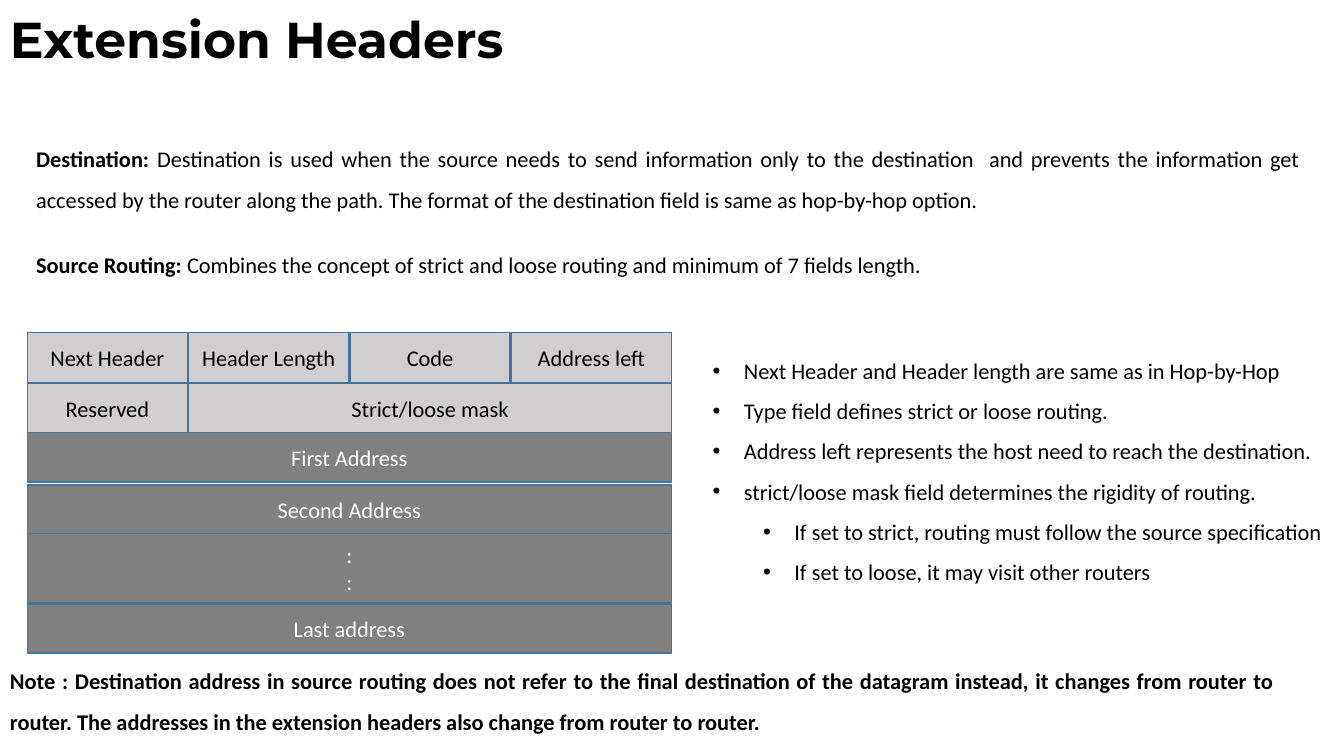
from lxml import etree
from pptx import Presentation
from pptx.dml.color import RGBColor
from pptx.enum import shapes, text
from pptx.oxml import ns
from pptx.util import Inches, Pt

COLORS = {"ink": "000000", "paper": "FFFFFF", "light": "D0CECE",
          "dark": "808080", "edge": "43739E"}
TITLE = [[("Extension Headers", True)]]
INTRO = [
    [("Destination: ", True),
     ("Destination is used when the source needs to send information only to "
      "the destination  and prevents the information get accessed by the router "
      "along the path. The format of the destination field is same as "
      "hop-by-hop option.", False)],
    [("Source Routing: ", True),
     ("Combines the concept of strict and loose routing and minimum of 7 "
      "fields length.", False)],
]
POINTS = [
    (0, "Next Header and Header length are same as in Hop-by-Hop"),
    (0, "Type field defines strict or loose routing."),
    (0, "Address left represents the host need to reach the destination."),
    (0, "strict/loose mask ﬁeld determines the rigidity of routing."),
    (1, "If set to strict, routing must follow the source specification"),
    (1, "If set to loose, it may visit other routers"),
]
NOTE = [[("Note : Destination address in source routing does not refer to the "
          "ﬁnal destination of the datagram instead, it changes from router to "
          "router. The addresses in the extension headers also change from "
          "router to router.", True)]]
ROWS = [
    (3.3, 0.5, "light", [("Next Header", 1), ("Header Length", 1),
                         ("Code", 1), ("Address left", 1)]),
    (3.8, 0.5, "light", [("Reserved", 1), ("Strict/loose mask", 3)]),
    (4.29, 0.49, "dark", [("First Address", 4)]),
    (4.81, 0.49, "dark", [("Second Address", 4)]),
    (5.29, 0.69, "dark", [(":\n:", 4)]),
    (5.99, 0.49, "dark", [("Last address", 4)]),
]
LEFT, UNIT = 0.27, 1.6


def tint(name):
    return RGBColor.from_string(COLORS[name])


def style(para, size=16, face="Calibri", color="ink"):
    font = para.font
    font.size, font.name = Pt(size), face
    font.color.rgb = tint(color)


def bullet(para, level):
    para.level = level
    props = para._p.get_or_add_pPr()
    props.set("marL", str(Inches(0.31 + 0.5 * level)))
    props.set("indent", str(Inches(-0.31)))
    etree.SubElement(props, ns.qn("a:buFont"), typeface="Arial")
    etree.SubElement(props, ns.qn("a:buChar"), char="•")


def add_text(slide, box, paras, levels=(), gap=0, lead=1.5,
             align=text.PP_ALIGN.JUSTIFY, anchor=text.MSO_ANCHOR.TOP, **look):
    frame = slide.shapes.add_textbox(*map(Inches, box)).text_frame
    frame.word_wrap, frame.vertical_anchor = True, anchor
    for i, runs in enumerate(paras):
        para = frame.add_paragraph() if i else frame.paragraphs[0]
        if levels:
            bullet(para, levels[i])
        para.alignment, para.line_spacing = align, lead
        if i and gap:
            para.space_before = Pt(gap)
        style(para, **look)
        for words, bold in runs:
            run = para.add_run()
            run.text, run.font.bold = words, bold


def add_cell(slide, box, words, fill):
    cell = slide.shapes.add_shape(shapes.MSO_SHAPE.RECTANGLE, *map(Inches, box))
    cell.shadow.inherit = False
    cell.fill.solid()
    cell.fill.fore_color.rgb = tint(fill)
    cell.line.color.rgb, cell.line.width = tint("edge"), Pt(1)
    frame = cell.text_frame
    frame.text, frame.vertical_anchor = words, text.MSO_ANCHOR.MIDDLE
    for para in frame.paragraphs:
        para.alignment = text.PP_ALIGN.CENTER
        style(para, color="ink" if fill == "light" else "paper")


def main():
    """Build the extension headers slide."""
    deck = Presentation()
    deck.slide_width, deck.slide_height = Inches(13.33), Inches(7.5)
    slide = deck.slides.add_slide(deck.slide_layouts[6])
    add_text(slide, (0, 0, 11.08, 0.84), TITLE, lead=0.9,
             align=text.PP_ALIGN.LEFT, anchor=text.MSO_ANCHOR.MIDDLE,
             size=36, face="Montserrat")
    add_text(slide, (0.26, 1.26, 12.74, 1.62), INTRO, gap=18)
    add_text(slide, (6.97, 3.36, 6.36, 2.52),
             [[(words, False)] for _, words in POINTS],
             levels=[level for level, _ in POINTS])
    for top, high, fill, cells in ROWS:
        col = 0
        for words, span in cells:
            add_cell(slide, (LEFT + col * UNIT, top, span * UNIT - 0.01, high),
                     words, fill)
            col += span
    add_text(slide, (0, 6.44, 12.74, 0.91), NOTE)
    deck.save("out.pptx")


if __name__ == "__main__":
    main()
